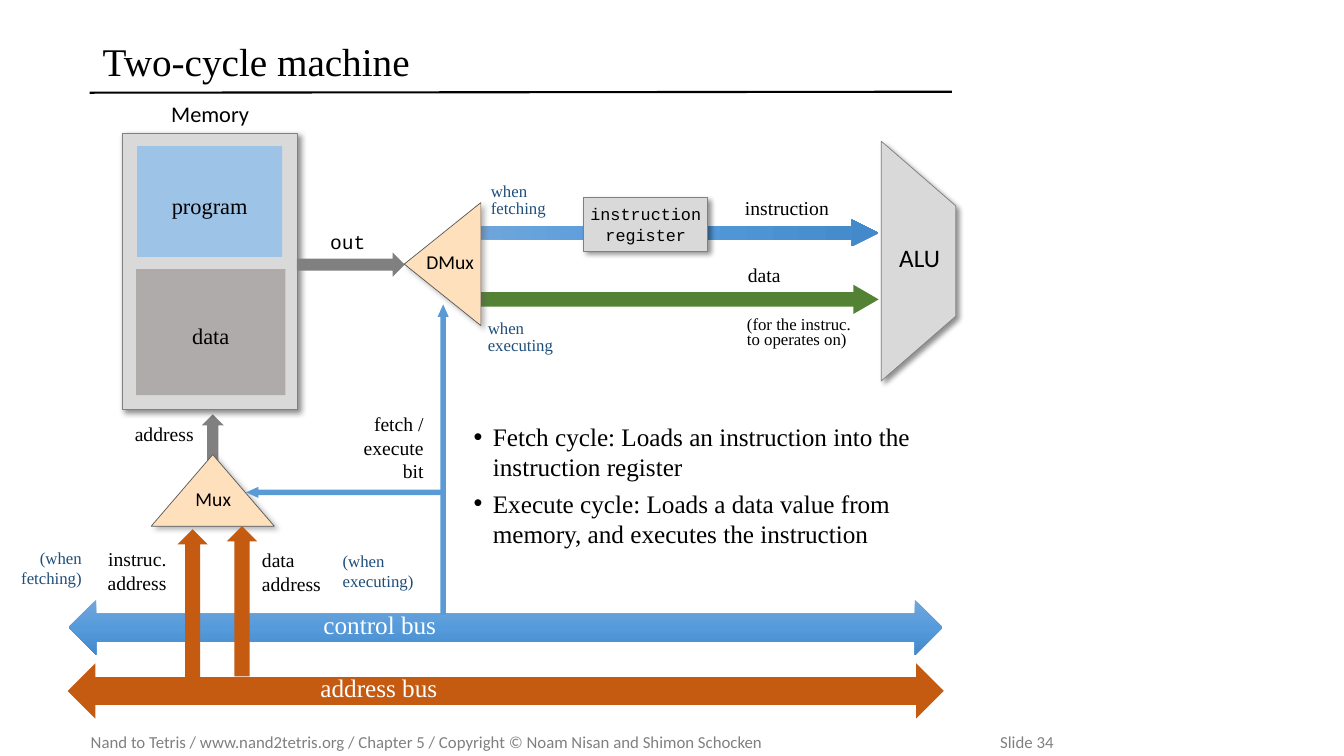
import copy
import dataclasses

import lxml.etree
import pptx
import pptx.dml.color
import pptx.enum.shapes
import pptx.enum.text
import pptx.oxml.ns
import pptx.util

Inches = pptx.util.Inches
Pt = pptx.util.Pt
Shape = pptx.enum.shapes.MSO_SHAPE
Align = pptx.enum.text.PP_ALIGN
Anchor = pptx.enum.text.MSO_ANCHOR
qn = pptx.oxml.ns.qn

SERIF, SANS, MONO = "Times New Roman", "Calibri", "Courier New"
BLACK, WHITE, NAVY, GRAY = "000000", "FFFFFF", "1F4E79", "808080"
SILVER, PEACH, CHARCOAL = "D9D9D9", "FFE0BC", "595959"
BLUE, GREEN, RUST = "5B9BD5", "548235", "C55A11"
BLUE_GRADIENT = ("71A6DB", "559BDB", "448ACA")
TIGHT = Pt(11.4)
SNUG = Pt(12.4)


@dataclasses.dataclass
class Block:
    kind: Shape
    at: tuple[float, float, float, float]
    fill: str | tuple[str, ...]
    rotation: int = 0
    adjustments: tuple[float, ...] = ()
    line: str | None = None
    shadow: str | None = None


@dataclasses.dataclass
class Label:
    text: str
    at: tuple[float, float, float, float]
    size: float = 14
    font: str = SERIF
    color: str = BLACK
    align: Align = Align.LEFT
    spacing: float | pptx.util.Length | None = None
    anchor: Anchor = Anchor.TOP
    insets: tuple[float, float, float, float] = (0.1, 0.05, 0.1, 0.05)


def arrow(at: tuple[float, float, float, float], fill: str | tuple[str, ...],
          rotation: int, *adjustments: float) -> Block:
    return Block(Shape.DOWN_ARROW, at, fill, rotation, adjustments)


def gate(kind: Shape, at: tuple[float, float, float, float], fill: str, line: str,
         shadow: str, rotation: int = 0, *adjustments: float) -> Block:
    return Block(kind, at, fill, rotation, adjustments, line, shadow)


BLOCKS = [
    arrow((6.57, 0.97, 0.29, 4), GREEN, 270, 0.5, 0.862),
    arrow((2, 4.11, 0.22, 0.55), GRAY, 180),
    gate(Shape.RECTANGLE, (1.21, 1.32, 1.74, 2.74), SILVER, GRAY, BLACK),
    Block(Shape.RECTANGLE, (1.36, 1.45, 1.44, 1.1), "9DC3E6"),
    Block(Shape.RECTANGLE, (1.35, 2.67, 1.48, 1.25), "AFABAB"),
    gate(Shape.TRAPEZOID, (7.92, 2.22, 2.38, 0.74), SILVER, GRAY, BLACK, 90, 0.869),
    gate(Shape.ISOSCELES_TRIANGLE, (1.5, 4.51, 1.22, 0.71), PEACH, CHARCOAL, CHARCOAL),
    Block(Shape.LEFT_RIGHT_ARROW, (0.68, 5.95, 8.67, 0.55), BLUE_GRADIENT),
    Block(Shape.LEFT_RIGHT_ARROW, (0.67, 6.58, 8.69, 0.55), RUST),
    arrow((3.36, 2.09, 0.24, 1.07), GRAY, 270),
    arrow((6.48, 0.21, 0.27, 4.2), BLUE_GRADIENT, 270, 0.5, 1),
    arrow((3.37, 3.9, 0.11, 1.97), BLUE, 90, 0.5, 1.115),
    arrow((1.76, 5.25, 0.3, 1.49), RUST, 180),
    arrow((2.25, 5.22, 0.3, 1.49), RUST, 180),
    gate(Shape.ISOSCELES_TRIANGLE, (3.78, 2.24, 1.22, 0.76), PEACH, CHARCOAL, CHARCOAL, 270),
    arrow((4.34, 3.02, 0.11, 3.08), BLUE, 180, 0.5, 1.115),
    gate(Shape.RECTANGLE, (5.79, 1.96, 1.23, 0.53), SILVER, GRAY, BLACK),
]

BLOCK_LABELS = {
    3: Label("program", BLOCKS[3].at, 16, align=Align.CENTER, spacing=1.1,
             anchor=Anchor.MIDDLE, insets=(0, 0.1, 0, 0.05)),
    4: Label("data", BLOCKS[4].at, 16, align=Align.CENTER, spacing=1.1,
             anchor=Anchor.MIDDLE, insets=(0, 0.1, 0, 0.05)),
    16: Label("instruction register", BLOCKS[16].at, 12, MONO, align=Align.CENTER,
              anchor=Anchor.MIDDLE, insets=(0, 0.05, 0, 0.05)),
}

LABELS = [
    Label("Two-cycle machine", (0.92, 0.32, 8.53, 0.63), 28, spacing=0.9, anchor=Anchor.MIDDLE),
    Label("Memory", (1.6, 0.94, 1.24, 0.37), 16, SANS),
    Label("ALU", (8.82, 2.36, 0.75, 0.37), 18, SANS),
    Label("control bus", (3.11, 6, 2.06, 0.4), 18, color=WHITE),
    Label("address bus", (3.08, 6.62, 2.06, 0.4), 18, color=WHITE),
    Label("out", (3.01, 2.31, 0.88, 0.27), font=MONO, align=Align.CENTER, spacing=TIGHT),
    Label("address", (0.99, 4.2, 1.03, 0.45), align=Align.RIGHT, spacing=SNUG),
    Label("when executing", (4.74, 3.13, 1.04, 0.49), 12, color=NAVY, spacing=SNUG),
    Label("fetch / execute bit", (3.45, 4.04, 0.85, 0.82), align=Align.RIGHT),
    Label("when fetching", (4.77, 1.77, 1.04, 0.65), 12, color=NAVY, spacing=SNUG),
    Label("data\naddress", (2.5, 5.39, 1.1, 0.45)),
    Label("instruc.\vaddress", (0.96, 5.38, 0.79, 0.45), align=Align.RIGHT),
    Label("(when executing)", (3.3, 5.41, 1.04, 0.65), 12, color=NAVY),
    Label("(when fetching)", (-0.13, 5.38, 1.04, 0.65), 12, color=NAVY, align=Align.RIGHT),
    Label("data", (7.32, 2.63, 1.04, 0.26), spacing=TIGHT),
    Label("instruction", (7.29, 1.97, 1.56, 0.26), spacing=TIGHT),
    Label("(for the instruc. to operates on)", (7.31, 3.1, 1.39, 0.42), 12, spacing=TIGHT),
    Label("Mux", (1.84, 4.78, 0.69, 0.34), font=SANS),
    Label("DMux", (4.13, 2.43, 0.87, 0.34), font=SANS),
]

CYCLES = Label("Fetch cycle: Loads an instruction into the instruction register\n"
               "Execute cycle: Loads a data value from memory, and executes the instruction",
               (4.6, 3.83, 4.88, 1.96), 18, anchor=Anchor.MIDDLE)
FOOTER = Label("Nand to Tetris / www.nand2tetris.org / Chapter 5 / "
               "Copyright © Noam Nisan and Shimon Schocken\tSlide 34",
               (0.9, 7.21, 12.25, 0.3), 12, SANS, GRAY, anchor=Anchor.MIDDLE,
               insets=(0, 0.05, 0, 0.05))


def rgb(value: str) -> pptx.dml.color.RGBColor:
    return pptx.dml.color.RGBColor.from_string(value)


def add_child(parent, tag: str, **attributes):
    return lxml.etree.SubElement(
        parent, qn(tag), {name: str(value) for name, value in attributes.items()})


def paint(shape, fill: str | tuple[str, ...]) -> None:
    if isinstance(fill, str):
        shape.fill.solid()
        shape.fill.fore_color.rgb = rgb(fill)
        return
    shape.fill.gradient()
    shape.fill.gradient_angle = 270
    stops = shape._element.spPr.find(".//" + qn("a:gsLst"))
    stops.insert(1, copy.deepcopy(stops[0]))
    for index, (stop, color) in enumerate(zip(shape.fill.gradient_stops, fill)):
        stop.position = index / (len(fill) - 1)
        stop.color.rgb = rgb(color)


def draw_block(page, block: Block):
    shape = page.shapes.add_shape(block.kind, *map(Inches, block.at))
    shape.rotation = block.rotation
    for index, value in enumerate(block.adjustments):
        shape.adjustments[index] = value
    paint(shape, block.fill)
    if block.line:
        shape.line.color.rgb = rgb(block.line)
        shape.line.width = Pt(0.5)
    else:
        shape.line.fill.background()
    shape.shadow.inherit = False
    if block.shadow:
        effects = shape._element.spPr.find(qn("a:effectLst"))
        shadow = add_child(effects, "a:outerShdw", blurRad=Pt(4), dist=Pt(3),
                           dir=45 * 60000, algn="tl", rotWithShape=0)
        add_child(add_child(shadow, "a:srgbClr", val=block.shadow), "a:alpha", val=43000)
    return shape


def write_label(frame, label: Label) -> None:
    frame.word_wrap = True
    frame.vertical_anchor = label.anchor
    frame.margin_left, frame.margin_top, frame.margin_right, frame.margin_bottom = map(
        Inches, label.insets)
    frame.text = label.text
    for para in frame.paragraphs:
        para.alignment = label.align
        para.line_spacing = label.spacing
        for span in para.runs:
            span.font.name = label.font
            span.font.size = Pt(label.size)
            span.font.color.rgb = rgb(label.color)


def draw_label(page, label: Label):
    box = page.shapes.add_textbox(*map(Inches, label.at))
    write_label(box.text_frame, label)
    return box


def main() -> None:
    deck = pptx.Presentation()
    deck.slide_width, deck.slide_height = Inches(13.33), Inches(7.5)
    page = deck.slides.add_slide(deck.slide_layouts[6])

    footer = draw_label(page, FOOTER)
    tabs = add_child(footer.text_frame.paragraphs[0]._p.get_or_add_pPr(), "a:tabLst")
    add_child(tabs, "a:tab", pos=Inches(9.02), algn="l")

    rule = page.shapes.add_connector(pptx.enum.shapes.MSO_CONNECTOR.STRAIGHT,
                                     *map(Inches, (0.89, 0.92, 9.44, 0.91)))
    rule.line.color.rgb = rgb(BLACK)
    rule.line.width = Pt(1.5)
    add_child(rule._element.spPr, "a:effectLst")

    for index, block in enumerate(BLOCKS):
        shape = draw_block(page, block)
        if index in BLOCK_LABELS:
            write_label(shape.text_frame, BLOCK_LABELS[index])
    for label in LABELS:
        draw_label(page, label)

    cycles = draw_label(page, CYCLES).text_frame.paragraphs
    for para in cycles:
        properties = para._p.get_or_add_pPr()
        properties.set("marL", str(Inches(0.19)))
        properties.set("indent", str(Inches(-0.19)))
        add_child(properties, "a:buFont", typeface="Arial")
        add_child(properties, "a:buChar", char="•")
    cycles[1].space_before = Pt(4.3)

    deck.save("out.pptx")


if __name__ == "__main__":
    main()
